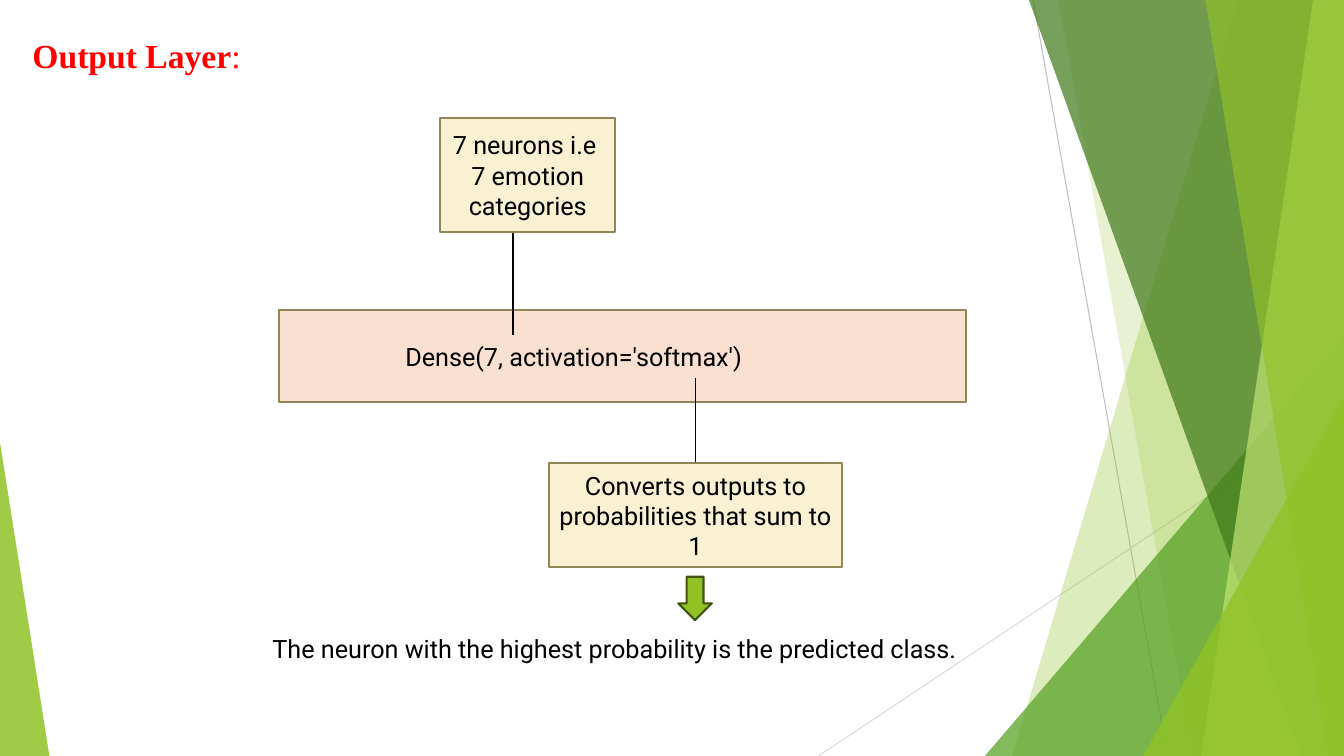
from dataclasses import dataclass

from pptx import Presentation
from pptx.dml.color import RGBColor
from pptx.enum.shapes import MSO_CONNECTOR, MSO_SHAPE
from pptx.enum.text import MSO_ANCHOR, MSO_AUTO_SIZE, PP_ALIGN
from pptx.oxml.ns import qn
from pptx.shapes.autoshape import Shape
from pptx.slide import Slide
from pptx.text.text import TextFrame
from pptx.util import Pt
from lxml.etree import SubElement

WIDTH, HEIGHT = 960, 540

BLACK = RGBColor(0x00, 0x00, 0x00)
RED = RGBColor(0xFF, 0x00, 0x00)
GREY = RGBColor(0xBF, 0xBF, 0xBF)
PALE_GREY = RGBColor(0xD9, 0xD9, 0xD9)
LIME = RGBColor(0x90, 0xC2, 0x26)
PALE_LIME = RGBColor(0xC0, 0xE4, 0x74)
GREEN = RGBColor(0x54, 0xA0, 0x21)
DARK_GREEN = RGBColor(0x3F, 0x78, 0x19)
ARROW_EDGE = RGBColor(0x3F, 0x55, 0x11)
PEACH = RGBColor(0xFA, 0xE0, 0xD1)
CREAM = RGBColor(0xFA, 0xF1, 0xD2)
OLIVE = RGBColor(0x91, 0x86, 0x55)


@dataclass(frozen=True)
class Band:
    """Strip from the top edge to the bottom edge, ending at the right edge."""
    top_left: float
    bottom_left: float
    color: RGBColor
    opacity: int


@dataclass(frozen=True)
class Corner:
    """Right triangle standing on the bottom edge."""
    left: float
    top: float
    width: float
    apex: float
    color: RGBColor
    opacity: int


@dataclass(frozen=True)
class Line:
    start: tuple[float, float]
    end: tuple[float, float]
    color: RGBColor = BLACK
    weight: float = 1


@dataclass(frozen=True)
class Box:
    text: str
    left: float
    top: float
    width: float
    height: float
    fill: RGBColor = CREAM
    align: PP_ALIGN = PP_ALIGN.CENTER
    inset: float = 7.2


BACKDROP_LINES = [
    Line((738, 0), (834, HEIGHT), GREY, 0.75),
    Line((WIDTH, 290), (584.6, HEIGHT), PALE_GREY, 0.75),
]
FACETS = [
    Band(884, 723, LIME, 30),
    Band(756, 852, LIME, 20),
    Corner(703.5, 240, 256.5, 1, GREEN, 72),
    Band(735, 929.5, DARK_GREEN, 70),
    Band(938, 858, PALE_LIME, 70),
    Band(861, 949, LIME, 65),
    Corner(816.5, 283, 143.5, 1, LIME, 80),
    Corner(0, 316, 35.3, 0, LIME, 85),
]
DIAGRAM = [
    Box("Dense(7, activation='softmax')", 199.5, 221.5, 490.5, 65.5,
        PEACH, PP_ALIGN.LEFT, 90),
    Line((366.5, 239), (366.5, 165.5)),
    Box("7 neurons i.e \n7 emotion categories", 314.5, 84, 125, 82),
    Line((497, 270), (497, 344)),
    Box("Converts outputs to probabilities that sum to 1", 392, 331, 209.5, 74),
]


def write_text(frame: TextFrame, text: str, *, size: float = 18, font: str = "Roboto",
               color: RGBColor = BLACK, bold: bool = False,
               align: PP_ALIGN = PP_ALIGN.LEFT) -> None:
    """Continue the first paragraph; each further line starts a new one."""
    frame.word_wrap = True
    for index, line in enumerate(text.split("\n")):
        paragraph = frame.add_paragraph() if index else frame.paragraphs[0]
        paragraph.alignment = align
        run = paragraph.add_run()
        run.text = line
        run.font.size = Pt(size)
        run.font.name = font
        run.font.bold = bold
        run.font.color.rgb = color


def paint(shape: Shape, fill: RGBColor, edge: RGBColor | None = None,
          opacity: int = 100) -> None:
    shape.shadow.inherit = False
    shape.fill.solid()
    shape.fill.fore_color.rgb = fill
    if edge is None:
        shape.line.fill.background()
    else:
        shape.line.color.rgb = edge
        shape.line.width = Pt(1.5)
    if opacity < 100:
        color = shape.fill._xPr.find(f"{qn('a:solidFill')}/{qn('a:srgbClr')}")
        SubElement(color, qn("a:alpha")).set("val", str(opacity * 1000))


def add_line(slide: Slide, line: Line) -> None:
    connector = slide.shapes.add_connector(
        MSO_CONNECTOR.STRAIGHT, *map(Pt, line.start + line.end))
    connector.line.color.rgb = line.color
    connector.line.width = Pt(line.weight)
    SubElement(connector._element.spPr, qn("a:effectLst"))


def add_facet(slide: Slide, facet: Band | Corner) -> None:
    if isinstance(facet, Band):
        builder = slide.shapes.build_freeform(Pt(facet.top_left), 0)
        builder.add_line_segments([
            (Pt(WIDTH), 0), (Pt(WIDTH), Pt(HEIGHT)), (Pt(facet.bottom_left), Pt(HEIGHT))])
        shape = builder.convert_to_shape()
    else:
        shape = slide.shapes.add_shape(
            MSO_SHAPE.ISOSCELES_TRIANGLE, Pt(facet.left), Pt(facet.top),
            Pt(facet.width), Pt(HEIGHT - facet.top))
        shape.adjustments[0] = facet.apex
    paint(shape, facet.color, opacity=facet.opacity)


def add_box(slide: Slide, box: Box) -> None:
    shape = slide.shapes.add_shape(
        MSO_SHAPE.RECTANGLE, Pt(box.left), Pt(box.top), Pt(box.width), Pt(box.height))
    paint(shape, box.fill, OLIVE)
    shape.text_frame.vertical_anchor = MSO_ANCHOR.MIDDLE
    shape.text_frame.margin_left = Pt(box.inset)
    write_text(shape.text_frame, box.text, align=box.align)


def add_title(slide: Slide) -> None:
    title = slide.shapes.title
    title.left, title.top, title.width, title.height = Pt(16), Pt(21), Pt(677), Pt(104)
    frame = title.text_frame
    frame.vertical_anchor = MSO_ANCHOR.TOP
    frame.auto_size = MSO_AUTO_SIZE.NONE
    for text, bold in (("Output Layer", True), (":", False)):
        write_text(frame, text, size=24, font="Times New Roman", color=RED, bold=bold)


def main() -> None:
    presentation = Presentation()
    presentation.slide_width, presentation.slide_height = Pt(WIDTH), Pt(HEIGHT)
    slide = presentation.slides.add_slide(presentation.slide_layouts[5])

    # Faceted backdrop
    for line in BACKDROP_LINES:
        add_line(slide, line)
    for facet in FACETS:
        add_facet(slide, facet)

    add_title(slide)

    # Output layer with its two explanations
    for part in DIAGRAM:
        if isinstance(part, Box):
            add_box(slide, part)
        else:
            add_line(slide, part)

    # Conclusion
    conclusion = slide.shapes.add_textbox(Pt(187.5), Pt(448.5), Pt(552), Pt(29))
    write_text(conclusion.text_frame,
               "The neuron with the highest probability is the predicted class.")
    arrow = slide.shapes.add_shape(
        MSO_SHAPE.DOWN_ARROW, Pt(484.5), Pt(412), Pt(24), Pt(31))
    paint(arrow, LIME, ARROW_EDGE)

    presentation.save("out.pptx")


if __name__ == "__main__":
    main()
